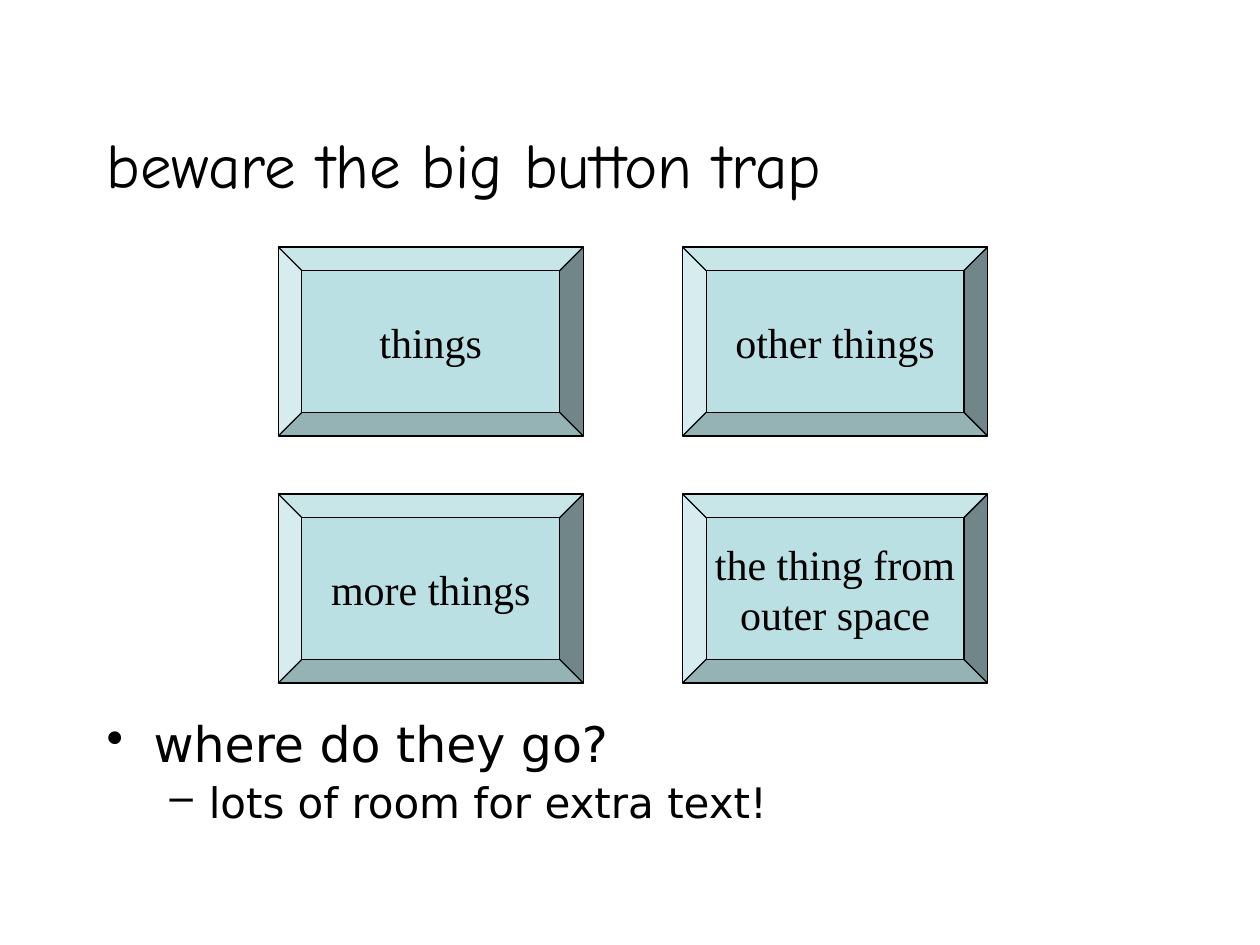
import dataclasses
import typing

import lxml.etree
import pptx
import pptx.dml.color
import pptx.enum.shapes
import pptx.enum.text
import pptx.oxml.ns
import pptx.util

Cm = pptx.util.Cm
Pt = pptx.util.Pt
PP_ALIGN = pptx.enum.text.PP_ALIGN

COLOURS = {"ink": "000000", "button": "BBE0E3", "background": "FFFFFF"}
BUTTON_LEFT, BUTTON_TOP = 5.61, 4.98
BUTTON_WIDTH, BUTTON_HEIGHT = 6.15, 3.81
COLUMN_STEP, ROW_STEP = 8.15, 4.98


@dataclasses.dataclass
class Button:
    lines: list[str]
    column: int
    row: int


@dataclasses.dataclass
class Point:
    text: str
    level: int
    size: float
    bullet: str
    margin: float
    hanging: float
    space_before: float


BUTTONS = [
    Button(["things"], 0, 0),
    Button(["the thing from", "outer space"], 1, 1),
    Button(["more things"], 0, 1),
    Button(["other things"], 1, 0),
]
POINTS = [
    Point("where do they go?", 0, 28, "•", 0.95, 0.95, 0),
    Point("lots of room for extra text!", 1, 24, "–", 2.06, 0.79, 4.8),
]


def colour(key: str) -> pptx.dml.color.RGBColor:
    return pptx.dml.color.RGBColor.from_string(COLOURS[key])


def write(frame, text: str, *, font: str, size: float, first: bool = True,
          align=PP_ALIGN.LEFT, level: int = 0) -> typing.Any:
    paragraph = frame.paragraphs[0] if first else frame.add_paragraph()
    paragraph.alignment = align
    paragraph.level = level
    run = paragraph.add_run()
    run.text = text
    run.font.name = font
    run.font.size = Pt(size)
    run.font.color.rgb = colour("ink")
    return paragraph


def add_frame(slide, left: float, top: float, width: float, height: float, anchor) -> typing.Any:
    frame = slide.shapes.add_textbox(Cm(left), Cm(top), Cm(width), Cm(height)).text_frame
    frame.word_wrap = True
    frame.vertical_anchor = anchor
    return frame


def add_point(frame, point: Point, first: bool) -> None:
    paragraph = write(frame, point.text, font="DejaVu Sans", size=point.size,
                      first=first, level=point.level)
    properties = paragraph._p.get_or_add_pPr()
    properties.set("marL", str(Cm(point.margin)))
    properties.set("indent", str(-Cm(point.hanging)))
    bullet = lxml.etree.SubElement(properties, pptx.oxml.ns.qn("a:buChar"))
    bullet.set("char", point.bullet)
    paragraph.line_spacing = 0.9
    paragraph.space_before = Pt(point.space_before)


def add_button(slide, button: Button) -> None:
    bevel = slide.shapes.add_shape(
        pptx.enum.shapes.MSO_SHAPE.BEVEL,
        Cm(BUTTON_LEFT + button.column * COLUMN_STEP),
        Cm(BUTTON_TOP + button.row * ROW_STEP),
        Cm(BUTTON_WIDTH), Cm(BUTTON_HEIGHT))
    bevel.shadow.inherit = False
    bevel.adjustments[0] = 0.125
    bevel.fill.solid()
    bevel.fill.fore_color.rgb = colour("button")
    bevel.line.color.rgb = colour("ink")
    bevel.line.width = Pt(0.75)
    frame = bevel.text_frame
    frame.word_wrap = False
    frame.vertical_anchor = pptx.enum.text.MSO_ANCHOR.MIDDLE
    for index, line in enumerate(button.lines):
        write(frame, line, font="Times New Roman", size=24,
              first=index == 0, align=PP_ALIGN.CENTER)


def main() -> None:
    presentation = pptx.Presentation()
    presentation.slide_width, presentation.slide_height = Cm(25.4), Cm(19.05)
    slide = presentation.slides.add_slide(presentation.slide_layouts[6])
    slide.background.fill.solid()
    slide.background.fill.fore_color.rgb = colour("background")

    title = add_frame(slide, 1.9, 1.7, 19.05, 3.18, pptx.enum.text.MSO_ANCHOR.MIDDLE)
    write(title, "beware the big button trap", font="Comic Neue", size=36)

    body = add_frame(slide, 1.9, 14.4, 21.59, 2.54, pptx.enum.text.MSO_ANCHOR.TOP)
    for index, point in enumerate(POINTS):
        add_point(body, point, index == 0)

    for button in BUTTONS:
        add_button(slide, button)

    presentation.save("out.pptx")


if __name__ == "__main__":
    main()
